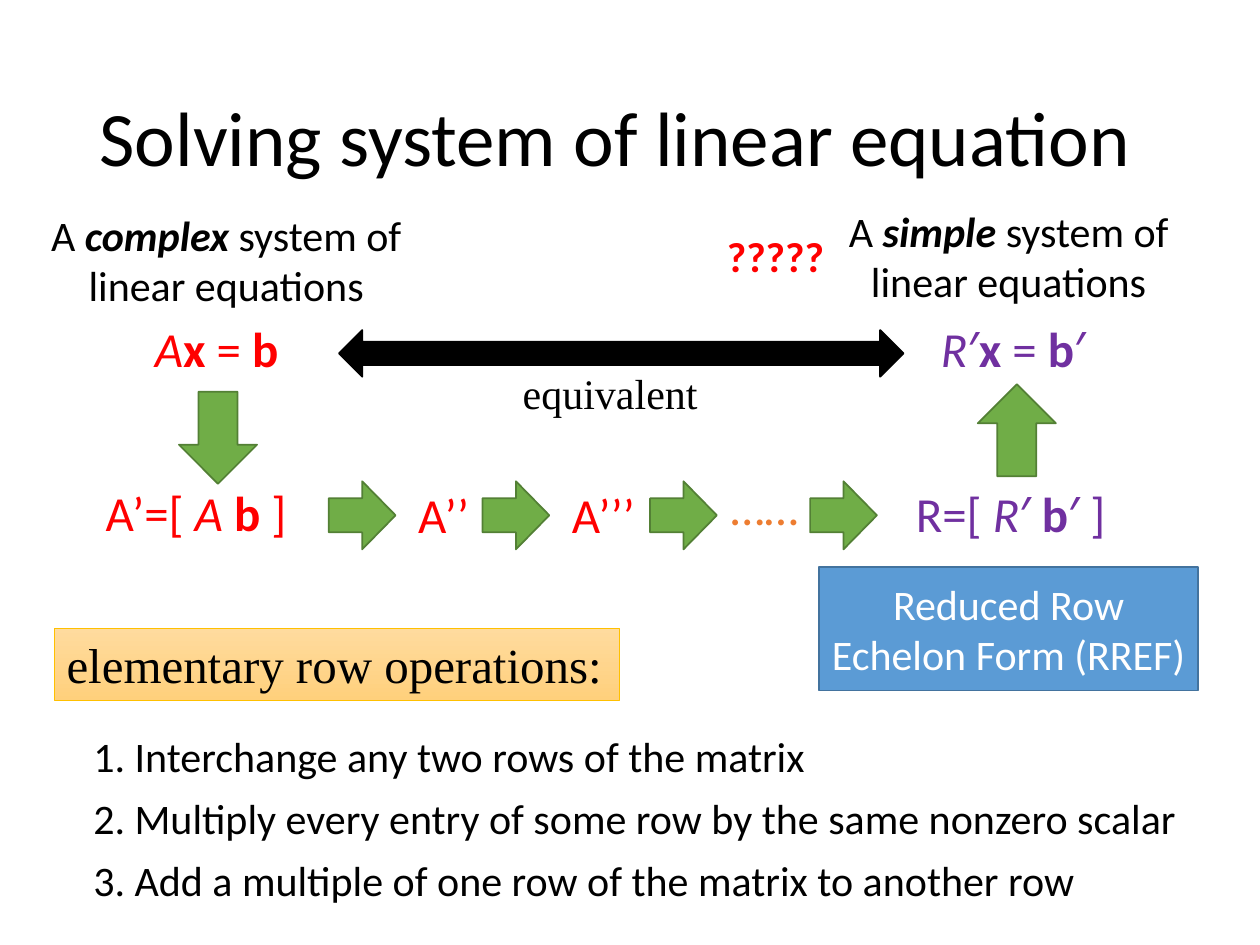
import pptx
import pptx.util
import pptx.dml.color
import pptx.enum.shapes
import pptx.enum.text
import pptx.oxml
import lxml.etree

Pt = pptx.util.Pt
Shape = pptx.enum.shapes.MSO_SHAPE
Align = pptx.enum.text.PP_ALIGN
Anchor = pptx.enum.text.MSO_ANCHOR
Fit = pptx.enum.text.MSO_AUTO_SIZE

WIDE, HIGH = pptx.util.Inches(10), pptx.util.Inches(7.5)
COL, ROW = WIDE / 100, HIGH / 75  # grid of 100 columns by 75 rows

SANS, SERIF = "Calibri", "Times New Roman"
HEX = {
    "black": "000000", "white": "FFFFFF", "red": "FF0000",
    "purple": "7030A0", "orange": "ED7D31",
    "green": "70AD47", "moss": "538035",
    "blue": "5B9BD5", "navy": "43739E",
    "gold": "FFC000", "cream": "FFDB9E", "sand": "FFD07C",
}


def tint(name):
    return pptx.dml.color.RGBColor.from_string(HEX[name])


def area(x, y, w, h):
    return [round(v) for v in (x * COL, y * ROW, w * COL, h * ROW)]


def place(item, x, y, w, h):
    item.left, item.top, item.width, item.height = area(x, y, w, h)


def style(font, size, color="black", face=SANS):
    font.size, font.name = Pt(size), face
    font.color.rgb = tint(color)


def write(frame, parts, size, color="black", face=SANS, align=Align.LEFT):
    """Fill one paragraph; each part is (text, marks), marks from 'b', 'i'."""
    para = frame.paragraphs[0]
    para.alignment = align
    for text, marks in parts:
        run = para.add_run()
        run.text = text
        style(run.font, size, color, face)
        run.font.bold, run.font.italic = "b" in marks, "i" in marks


def label(slide, box, parts, size, color="black", face=SANS,
          align=Align.LEFT, wrap=False):
    frame = slide.shapes.add_textbox(*area(*box)).text_frame
    frame.word_wrap = wrap
    frame.auto_size = Fit.SHAPE_TO_FIT_TEXT
    write(frame, parts, size, color, face, align)


def block(slide, kind, box, fill, edge, width=1):
    shape = slide.shapes.add_shape(kind, *area(*box))
    shape.shadow.inherit = False
    shape.fill.solid()
    shape.fill.fore_color.rgb = tint(fill)
    shape.line.color.rgb = tint(edge)
    shape.line.width = Pt(width)
    return shape


def title(slide, text):
    item = slide.shapes.title
    place(item, 6.9, 4, 86.2, 14.5)
    frame = item.text_frame
    frame.text = text
    frame.auto_size, frame.vertical_anchor = Fit.NONE, Anchor.MIDDLE
    para = frame.paragraphs[0]
    para.alignment, para.line_spacing = Align.LEFT, 0.9
    style(para.runs[0].font, 44)


def steps(slide, lines):
    item = slide.placeholders[1]
    place(item, 6.4, 57.5, 93, 15)
    frame = item.text_frame
    frame.text = "\n".join(lines)
    frame.auto_size, frame.vertical_anchor = Fit.NONE, Anchor.TOP
    for at, para in enumerate(frame.paragraphs):
        props = para._p.get_or_add_pPr()
        props.set("marL", "0")
        props.set("indent", "0")
        lxml.etree.SubElement(props, pptx.oxml.ns.qn("a:buNone"))
        para.space_before = Pt(6.4 if at else 0)
        style(para.runs[0].font, 24)


def systems(slide):
    # The two systems and their equivalence
    for x, y, word in ((1.9, 16.1, "complex"), (64, 15.8, "simple")):
        parts = [("A ", ""), (word, "bi"), (" system of linear equations", "")]
        label(slide, (x, y, 32.1, 9.1), parts, 24,
              align=Align.CENTER, wrap=True)
    label(slide, (56.7, 17.8, 11.1, 5), [("?????", "b")], 24, "red")
    label(slide, (11.3, 24.8, 12.8, 5.7),
          [("A", "i"), ("x", "b"), (" = ", ""), ("b", "b")], 28, "red")
    label(slide, (73.7, 24.8, 13.7, 5.7),
          [("R", "i"), ("′", ""), ("x", "b"), (" = ", ""), ("b", "b"),
           ("′", "")], 28, "purple")
    block(slide, Shape.LEFT_RIGHT_ARROW, (26.9, 26.2, 44.8, 3.7),
          "black", "black")
    label(slide, (40.5, 28.7, 15.9, 5), [("equivalent", "")], 24, face=SERIF)


def chain(slide):
    # Matrices from A' to R
    label(slide, (7.4, 37.8, 18.4, 5.7),
          [("A’=[ ", ""), ("A ", "i"), ("b ", "b"), ("]", "")], 28, "red")
    for x, text in ((32.2, "A’’"), (44.4, "A’’’")):
        label(slide, (x, 38, 3.8 + len(text), 5.7), [(text, "")], 28, "red")
    label(slide, (57, 37.3, 7.7, 5.7), [("……", "")], 28, "orange")
    label(slide, (71.7, 37.9, 17.4, 5.7),
          [("R=[ ", ""), ("R", "i"), ("′ ", ""), ("b", "b"), ("′ ]", "")],
          28, "purple")

    # Arrows down, along and up
    block(slide, Shape.DOWN_ARROW, (14.2, 31.1, 6.2, 7.3), "green", "moss")
    for x in (26.1, 38.3, 51.6, 64.3):
        block(slide, Shape.RIGHT_ARROW, (x, 38.2, 5.3, 5.4), "green", "moss")
    block(slide, Shape.UP_ARROW, (77.6, 30.5, 6.2, 7.3), "green", "moss")


def notes(slide):
    # Name of the final form
    form = block(slide, Shape.RECTANGLE, (65, 45, 30.1, 9.8), "blue", "navy")
    form.text_frame.word_wrap = True
    form.text_frame.vertical_anchor = Anchor.MIDDLE
    write(form.text_frame, [("Reduced Row Echelon Form (RREF)", "")], 24,
          "white", align=Align.CENTER)

    # Heading of the list, on a gradient
    head = block(slide, Shape.RECTANGLE, (4.3, 49.9, 44.9, 5.7),
                 "cream", "gold", 0.5)
    head.fill.gradient()
    head.fill.gradient_angle = 270
    for stop, name in zip(head.fill.gradient_stops, ("cream", "sand")):
        stop.color.rgb = tint(name)
    head.text_frame.word_wrap = False
    head.text_frame.vertical_anchor = Anchor.TOP
    write(head.text_frame, [("elementary row operations:", "")], 28,
          face=SERIF)


def main():
    deck = pptx.Presentation()
    deck.slide_width, deck.slide_height = WIDE, HIGH
    slide = deck.slides.add_slide(deck.slide_layouts[1])
    title(slide, "Solving system of linear equation")
    systems(slide)
    chain(slide)
    notes(slide)
    steps(slide, (
        "1. Interchange any two rows of the matrix",
        "2. Multiply every entry of some row by the same nonzero scalar",
        "3. Add a multiple of one row of the matrix to another row",
    ))
    deck.save("out.pptx")


if __name__ == "__main__":
    main()
